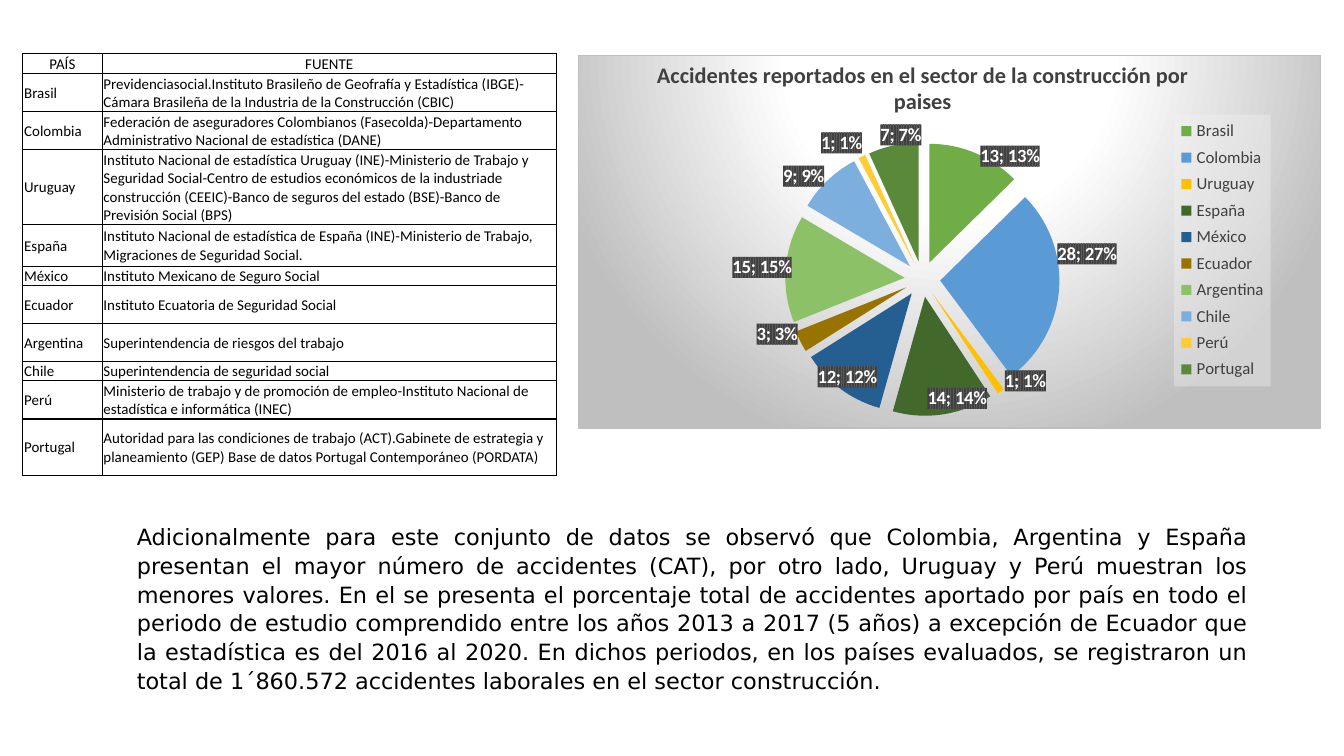
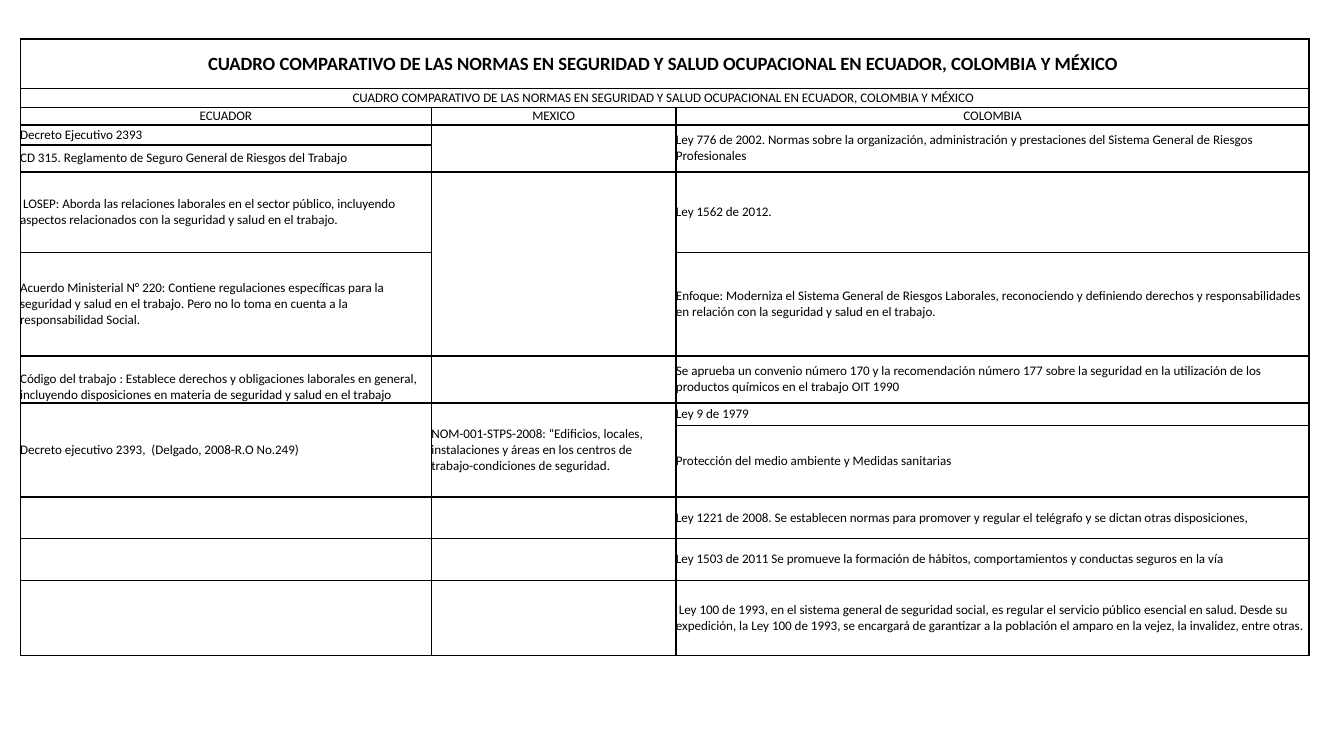
import math
from itertools import accumulate
from lxml import etree
from pptx import Presentation
from pptx import util as u
from pptx.chart import data as chart_data
from pptx.dml import color
from pptx.enum import chart as charts, text
from pptx.oxml import parse_xml
from pptx.oxml.ns import nsdecls, qn

COLORS = {"ink": "000000", "grey": "404040", "white": "FFFFFF", "edge": "BFBFBF",
          "legend": "F2F2F2", "hatch": "595959"}
FONT = "Calibri"
WIDTH = 10
HEIGHT = WIDTH * 9 / 16

SOURCES = [
    ("PAÍS", "FUENTE"),
    ("Brasil", "Previdenciasocial.Instituto Brasileño de Geofrafía y Estadística (IBGE)-Cámara Brasileña de la Industria de la Construcción (CBIC)"),
    ("Colombia", "Federación de aseguradores Colombianos (Fasecolda)-Departamento Administrativo Nacional de estadística (DANE)"),
    ("Uruguay", "Instituto Nacional de estadística Uruguay (INE)-Ministerio de Trabajo y Seguridad Social-Centro de estudios económicos de la industriade construcción (CEEIC)-Banco de seguros del estado (BSE)-Banco de Previsión Social (BPS)"),
    ("España", "Instituto Nacional de estadística de España (INE)-Ministerio de Trabajo, Migraciones de Seguridad Social."),
    ("México", "Instituto Mexicano de Seguro Social"),
    ("Ecuador", "Instituto Ecuatoria de Seguridad Social"),
    ("Argentina", "Superintendencia de riesgos del trabajo"),
    ("Chile", "Superintendencia de seguridad social"),
    ("Perú", "Ministerio de trabajo y de promoción de empleo-Instituto Nacional de estadística e informática (INEC)"),
    ("Portugal", "Autoridad para las condiciones de trabajo (ACT).Gabinete de estrategia y planeamiento (GEP) Base de datos Portugal Contemporáneo (PORDATA)"),
]
SOURCE_COLUMNS = [0.59, 3.38]
SOURCE_ROWS = [0.14, 0.28, 0.28, 0.55, 0.31, 0.14, 0.28, 0.28, 0.14, 0.28, 0.42]

CHART_TITLE = "Accidentes reportados en el sector de la construcción por paises"
CHART_BOX = (4.3, 0.41, 5.53, 2.78)
PLOT = (0, 0.233, 0.927, 0.735)
EXPLOSION = 15
ACCIDENTS = [
    ("Brasil", 13, "70AD47", (7.52, 1.16)),
    ("Colombia", 28, "5B9BD5", (8.09, 1.89)),
    ("Uruguay", 1, "FFC000", (7.63, 2.84)),
    ("España", 14, "43682B", (7.12, 2.97)),
    ("México", 12, "255E91", (6.3, 2.81)),
    ("Ecuador", 3, "997300", (5.78, 2.49)),
    ("Argentina", 15, "8CC168", (5.67, 1.99)),
    ("Chile", 9, "7CAFDD", (5.98, 1.31)),
    ("Perú", 1, "FFCD33", (6.26, 1.06)),
    ("Portugal", 7, "5A8A39", (6.7, 1)),
]

SUMMARY = "Adicionalmente para este conjunto de datos se observó que Colombia, Argentina y España presentan el mayor número de accidentes (CAT), por otro lado, Uruguay y Perú muestran los menores valores. En el se presenta el porcentaje total de accidentes aportado por país en todo el periodo de estudio comprendido entre los años 2013 a 2017 (5 años) a excepción de Ecuador que la estadística es del 2016 al 2020. En dichos periodos, en los países evaluados, se registraron un total de 1´860.572 accidentes laborales en el sector construcción."

HEADING = "CUADRO COMPARATIVO DE LAS NORMAS EN SEGURIDAD Y SALUD OCUPACIONAL EN ECUADOR, COLOMBIA Y MÉXICO "
LAWS = [
    (HEADING, "", ""),
    (HEADING, "", ""),
    ("ECUADOR", "MEXICO", "COLOMBIA"),
    ("Decreto Ejecutivo 2393", "", "Ley 776 de 2002. Normas sobre la organización, administración y prestaciones del Sistema General de Riesgos Profesionales"),
    ("CD 315. Reglamento de Seguro General de Riesgos del Trabajo", "", ""),
    (" LOSEP: Aborda las relaciones laborales en el sector público, incluyendo aspectos relacionados con la seguridad y salud en el trabajo.", "", "Ley 1562 de 2012."),
    ("Acuerdo Ministerial N° 220: Contiene regulaciones específicas para la seguridad y salud en el trabajo. Pero no lo toma en cuenta a la responsabilidad Social.", "",
     "Enfoque: Moderniza el Sistema General de Riesgos Laborales, reconociendo y definiendo derechos y responsabilidades en relación con la seguridad y salud en el trabajo."),
    ("Código del trabajo : Establece derechos y obligaciones laborales en general, incluyendo disposiciones en materia de seguridad y salud en el trabajo", "",
     "Se aprueba un convenio número 170 y la recomendación número 177 sobre la seguridad en la utilización de los productos químicos en el trabajo OIT 1990"),
    ("Decreto ejecutivo 2393,  (Delgado, 2008-R.O No.249)", "NOM-001-STPS-2008: “Edificios, locales, instalaciones y áreas en los centros de trabajo-condiciones de seguridad.", "Ley 9 de 1979"),
    ("", "", "Protección del medio ambiente y Medidas sanitarias"),
    ("", "", "Ley 1221 de 2008. Se establecen normas para promover y regular el telégrafo y se dictan otras disposiciones,"),
    ("", "", "Ley 1503 de 2011 Se promueve la formación de hábitos, comportamientos y conductas seguros en la vía"),
    ("", "", " Ley 100 de 1993, en el sistema general de seguridad social, es regular el servicio público esencial en salud. Desde su expedición, la Ley 100 de 1993, se encargará de garantizar a la población el amparo en la vejez, la invalidez, entre otras."),
]
LAW_COLUMNS = [3.06, 1.82, 4.71]
LAW_ROWS = [0.37, 0.14, 0.13, 0.15, 0.2, 0.6, 0.77, 0.35, 0.17, 0.53, 0.31, 0.31, 0.56]
LAW_SPANS = [((0, 0), (0, 2)), ((1, 0), (1, 2)), ((3, 1), (4, 1)), ((3, 2), (4, 2)),
             ((5, 1), (6, 1)), ((8, 0), (9, 0)), ((8, 1), (9, 1))]


def style(font, size, ink="ink", bold=False, name=FONT):
    font.size, font.bold, font.name = u.Pt(size), bold, name
    font.color.rgb = color.RGBColor.from_string(COLORS[ink])


def write(frame, content, size=8, align="LEFT", spacing=None, after=None, **look):
    paragraph = frame.paragraphs[0]
    paragraph.alignment = getattr(text.PP_ALIGN, align)
    if spacing:
        paragraph.line_spacing = spacing
    if after:
        paragraph.space_after = u.Pt(after)
    if content:
        run = paragraph.add_run()
        run.text = content
        style(run.font, size, **look)
    else:
        etree.SubElement(paragraph._p, qn("a:endParaRPr"), sz=str(size * 100))


def draw_borders(cell):
    properties = cell._tc.get_or_add_tcPr()
    for index, side in enumerate("LRTB"):
        properties.insert(index, parse_xml(
            f'<a:ln{side} {nsdecls("a")} w="9525"><a:solidFill>'
            f'<a:srgbClr val="{COLORS["ink"]}"/></a:solidFill></a:ln{side}>'))


def add_grid(slide, left, top, columns, rows, content, formats, inset=0, spans=()):
    frame = slide.shapes.add_table(len(rows), len(columns), *map(
        u.Inches, (left, top, sum(columns), sum(rows))))
    table = frame.table
    table.first_row = table.horz_banding = False
    for column, width in zip(table.columns, columns):
        column.width = u.Inches(width)
    for y, (row, height) in enumerate(zip(table.rows, rows)):
        row.height = u.Inches(height)
        for x, cell in enumerate(row.cells):
            cell.margin_left = cell.margin_right = cell.margin_top = u.Inches(inset)
            cell.margin_bottom = 0
            cell.vertical_anchor = text.MSO_ANCHOR.MIDDLE
            cell.fill.background()
            draw_borders(cell)
            write(cell.text_frame, content[y][x], **formats(y))
    for start, end in spans:
        table.cell(*start).merge(table.cell(*end))
    return table


def set_layout(parent, box, after=None, inner=False):
    for layout in parent.findall(qn("c:layout")):
        parent.remove(layout)
    target = '<c:layoutTarget val="inner"/>' if inner else ""
    modes = '<c:xMode val="edge"/><c:yMode val="edge"/>'
    values = "".join(f'<c:{key} val="{value}"/>' for key, value in zip("xywh", box))
    layout = parse_xml(f'<c:layout {nsdecls("c")}><c:manualLayout>{target}{modes}{values}'
                       '</c:manualLayout></c:layout>')
    if after:
        parent.find(qn(after)).addnext(layout)
    else:
        parent.insert(0, layout)


def label_offsets():
    left, top, width, height = CHART_BOX
    center_x = left + (PLOT[0] + PLOT[2] / 2) * width
    center_y = top + (PLOT[1] + PLOT[3] / 2) * height
    share = EXPLOSION / 100
    reach = PLOT[3] * height / 2 / (1 + share) * (0.5 + share)
    values = [value for _, value, _, _ in ACCIDENTS]
    for value, end, (_, _, _, (x, y)) in zip(values, accumulate(values), ACCIDENTS):
        angle = 2 * math.pi * (end - value / 2) / sum(values)
        yield ((x - center_x - reach * math.sin(angle)) / width,
               (y - center_y + reach * math.cos(angle)) / height)


def build_labels():
    shows = "".join(f'<c:show{name} val="{flag}"/>' for name, flag in (
        ("LegendKey", 0), ("Val", 1), ("CatName", 0), ("SerName", 0), ("Percent", 1), ("BubbleSize", 0)))
    look = (f'<c:spPr><a:pattFill prst="narVert"><a:fgClr><a:srgbClr val="{COLORS["hatch"]}"/></a:fgClr>'
            f'<a:bgClr><a:srgbClr val="{COLORS["grey"]}"/></a:bgClr></a:pattFill></c:spPr>'
            '<c:txPr><a:bodyPr/><a:p><a:pPr><a:defRPr sz="1000" b="1"><a:solidFill>'
            f'<a:srgbClr val="{COLORS["white"]}"/></a:solidFill><a:latin typeface="{FONT}"/>'
            '</a:defRPr></a:pPr><a:endParaRPr lang="es"/></a:p></c:txPr>'
            f'<c:dLblPos val="ctr"/>{shows}<c:separator>; </c:separator>')
    points = "".join(
        f'<c:dLbl><c:idx val="{index}"/><c:layout><c:manualLayout><c:x val="{x:.3f}"/>'
        f'<c:y val="{y:.3f}"/></c:manualLayout></c:layout>{look}</c:dLbl>'
        for index, (x, y) in enumerate(label_offsets()))
    return parse_xml(f'<c:dLbls {nsdecls("c", "a")}>{points}{look}'
                     '<c:showLeaderLines val="0"/></c:dLbls>')


def add_pie(slide):
    data = chart_data.CategoryChartData()
    data.categories = [country for country, *_ in ACCIDENTS]
    data.add_series("Series 1", [value for _, value, *_ in ACCIDENTS])
    chart = slide.shapes.add_chart(charts.XL_CHART_TYPE.PIE, *map(u.Inches, CHART_BOX), data).chart
    style(chart.font, 10)
    chart.has_title = True
    write(chart.chart_title.text_frame, CHART_TITLE, size=12, align="CENTER", ink="grey", bold=True)
    chart.chart_title.include_in_layout = False
    set_layout(chart.chart_title._element, (0.1, 0), "c:tx")

    chart.has_legend = True
    legend = chart.legend
    legend.position = charts.XL_LEGEND_POSITION.RIGHT
    legend.include_in_layout = False
    style(legend.font, 9, "grey")
    set_layout(legend._element, (0.803, 0.158, 0.13, 0.73), "c:legendPos")
    legend._element.find(qn("c:txPr")).addprevious(parse_xml(
        f'<c:spPr {nsdecls("c", "a")}><a:solidFill><a:srgbClr val="{COLORS["legend"]}">'
        '<a:alpha val="39000"/></a:srgbClr></a:solidFill></c:spPr>'))

    plot = chart.plots[0]
    plot.vary_by_categories = True
    series = plot.series[0]
    for index, (_, _, fill, _) in enumerate(ACCIDENTS):
        slice_fill = series.points[index].format.fill
        slice_fill.solid()
        slice_fill.fore_color.rgb = color.RGBColor.from_string(fill)
    element = series._element
    element.find(qn("c:dPt")).addprevious(
        parse_xml(f'<c:explosion {nsdecls("c")} val="{EXPLOSION}"/>'))
    element.find(qn("c:cat")).addprevious(build_labels())
    space = chart._chartSpace
    set_layout(space.find(".//" + qn("c:plotArea")), PLOT, inner=True)
    stops = "".join(f'<a:gs pos="{place}000"><a:srgbClr val="{COLORS[name]}"/></a:gs>'
                    for place, name in ((0, "white"), (39, "white"), (100, "edge")))
    space.find(qn("c:txPr")).addprevious(parse_xml(
        f'<c:spPr {nsdecls("c", "a")}><a:gradFill><a:gsLst>{stops}</a:gsLst><a:path path="circle">'
        '<a:fillToRect l="50000" t="-80000" r="50000" b="180000"/></a:path></a:gradFill>'
        f'<a:ln w="9525"><a:solidFill><a:srgbClr val="{COLORS["edge"]}"/></a:solidFill></a:ln></c:spPr>'))


def source_format(row):
    return {"size": 8, "align": "LEFT" if row else "CENTER"}


def law_format(row):
    return {"size": 7 if row else 10, "bold": row == 0, "align": "CENTER" if row < 3 else "LEFT"}


def main():
    presentation = Presentation()
    presentation.slide_width, presentation.slide_height = u.Inches(WIDTH), u.Inches(HEIGHT)
    blank = presentation.slide_layouts[6]

    slide = presentation.slides.add_slide(blank)
    add_grid(slide, 0.17, 0.4, SOURCE_COLUMNS, SOURCE_ROWS, SOURCES, source_format, inset=0.01)
    add_pie(slide)
    frame = slide.shapes.add_textbox(*map(u.Inches, (0.92, 3.83, 8.47, 1.39))).text_frame
    frame.word_wrap = True
    frame.auto_size = text.MSO_AUTO_SIZE.SHAPE_TO_FIT_TEXT
    write(frame, SUMMARY, size=12, align="JUSTIFY", spacing=1.07, after=8, name="DejaVu Sans")

    slide = presentation.slides.add_slide(blank)
    laws = add_grid(slide, 0.15, 0.29, LAW_COLUMNS, LAW_ROWS, LAWS, law_format, spans=LAW_SPANS)
    laws.cell(7, 0).vertical_anchor = text.MSO_ANCHOR.BOTTOM
    presentation.save("out.pptx")


if __name__ == "__main__":
    main()
